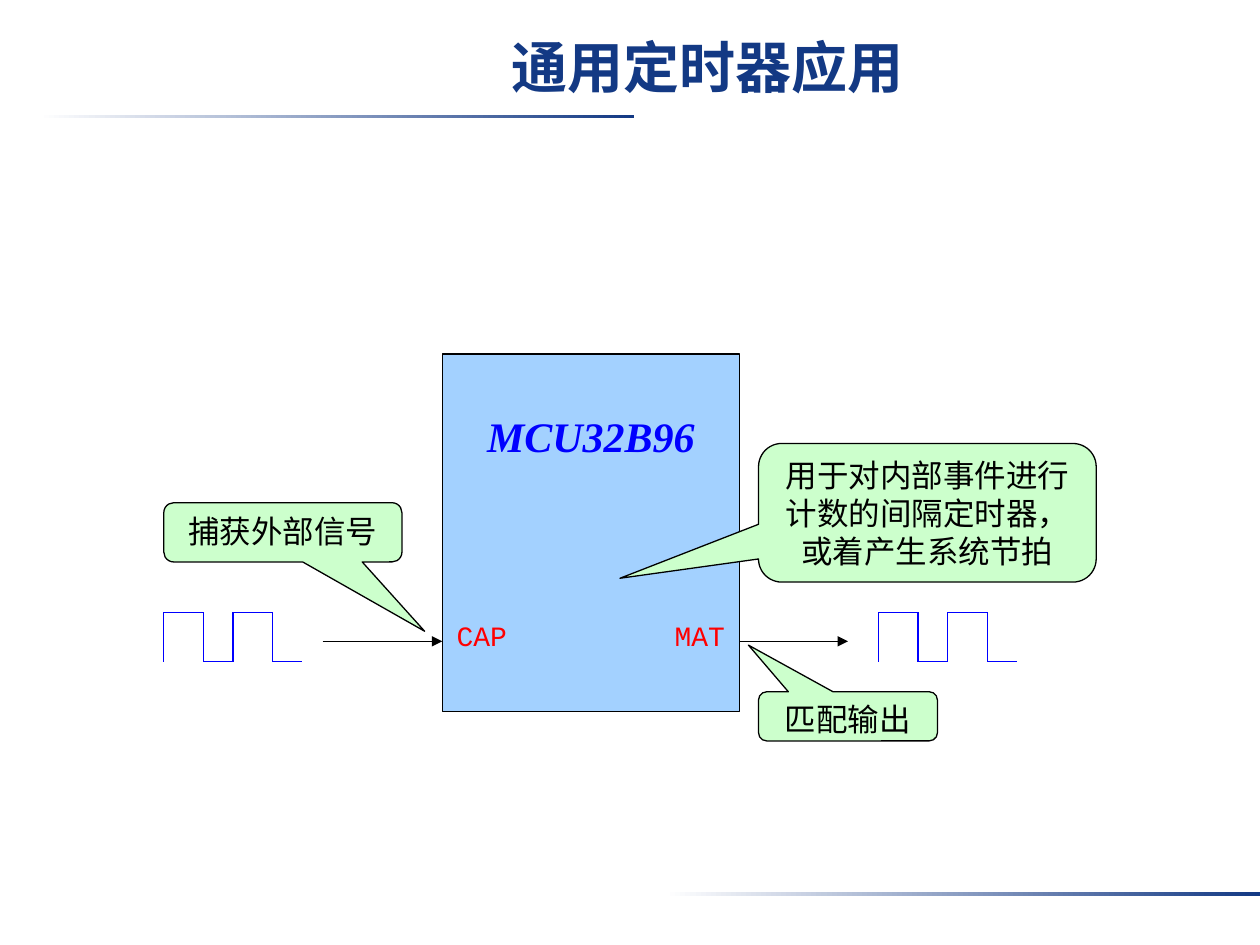
from itertools import pairwise

from pptx import Presentation
from pptx.dml.color import RGBColor
from pptx.enum.shapes import MSO_CONNECTOR, MSO_SHAPE
from pptx.enum.text import MSO_ANCHOR, PP_ALIGN
from pptx.oxml.ns import qn
from pptx.util import Inches, Pt
from lxml import etree


def color(value):
    return RGBColor.from_string(value)


def write(shape, text, size, font_name, font_color, bold=False, italic=False):
    frame = shape.text_frame
    frame.word_wrap = True
    frame.vertical_anchor = MSO_ANCHOR.TOP
    frame.text = text
    paragraph = frame.paragraphs[0]
    paragraph.alignment = PP_ALIGN.CENTER
    font = paragraph.runs[0].font
    font.size = Pt(size)
    font.name = font_name
    font.color.rgb = color(font_color)
    font.bold = bold
    font.italic = italic


def add_box(slide, kind, left, top, width, height, fill):
    shape = slide.shapes.add_shape(
        kind, Inches(left), Inches(top), Inches(width), Inches(height))
    shape.shadow.inherit = False
    shape.fill.solid()
    shape.fill.fore_color.rgb = color(fill)
    shape.line.color.rgb = color("000000")
    shape.line.width = Pt(0.75)
    return shape


def add_line(slide, start, end, line_color, arrow=False):
    line = slide.shapes.add_connector(
        MSO_CONNECTOR.STRAIGHT, *map(Inches, (*start, *end)))
    line.line.color.rgb = color(line_color)
    line.line.width = Pt(0.75)
    properties = line._element.spPr
    if arrow:
        etree.SubElement(properties.find(qn("a:ln")), qn("a:tailEnd"), type="triangle")
    etree.SubElement(properties, qn("a:effectLst"))


def add_label(slide, left, top, width, height, text, *style):
    box = slide.shapes.add_textbox(
        Inches(left), Inches(top), Inches(width), Inches(height))
    write(box, text, *style)
    return box


def add_rule(slide, left, top, width):
    rule = add_box(slide, MSO_SHAPE.RECTANGLE, left, top, width, 0.03, "FFFFFF")
    rule.line.fill.background()
    rule.fill.gradient()
    rule.fill.gradient_angle = 0
    for stop, value in zip(rule.fill.gradient_stops, ("FFFFFF", "133984")):
        stop.color.rgb = color(value)


def add_title(slide, left, top, width, height):
    title = add_label(slide, left, top, width, height,
                      "通用定时器应用", 32, "Arial", "133984", True)
    title.text_frame.margin_top = Inches(0.06)


def add_pulses(slide, left, top, height):
    high, low, period = 0.315, 0.235, 0.55
    bottom = top + height
    points = []
    for cycle in range(2):
        rise = left + cycle * period
        fall = rise + high
        points += [(rise, bottom), (rise, top), (fall, top), (fall, bottom)]
    points.append((fall + low, bottom))
    for start, end in pairwise(points):
        add_line(slide, start, end, "0000FF")


def add_chip(slide, left, top, width, height):
    chip = add_box(slide, MSO_SHAPE.RECTANGLE, left, top, width, height, "99CCFF")
    fill_color = chip._element.spPr.find(qn("a:solidFill"))[0]
    etree.SubElement(fill_color, qn("a:alpha"), val="90000")
    write(chip, "MCU32B96", 24, "Times New Roman", "0000FF", True, True)
    chip.text_frame.margin_top = Inches(0.45)

    right = left + width
    pin_top, pin_width, pin_height = top + 2.05, 0.63, 0.37
    for name, pin_left in (("CAP", left), ("MAT", right - pin_width)):
        add_label(slide, pin_left, pin_top, pin_width, pin_height,
                  name, 16, "Courier New", "FF0000")

    arrow_top = top + 2.28
    for start, end in ((left - 0.95, left), (right, right + 0.86)):
        add_line(slide, (start, arrow_top), (end, arrow_top), "000000", True)


def add_callout(slide, left, top, width, height, tip, text):
    callout = add_box(slide, MSO_SHAPE.ROUNDED_RECTANGULAR_CALLOUT,
                      left, top, width, height, "CCFFCC")
    tip_left, tip_top = tip
    callout.adjustments[0] = (tip_left - left) / width - 0.5
    callout.adjustments[1] = (tip_top - top) / height - 0.5
    callout.adjustments[2] = 0.167
    write(callout, text, 18, "Times New Roman", "000000")


def main():
    presentation = Presentation()
    presentation.slide_width = Inches(10)
    presentation.slide_height = Inches(7.5)
    slide = presentation.slides.add_slide(presentation.slide_layouts[6])

    add_rule(slide, 0.31, 0.91, 4.72)
    add_rule(slide, 5.28, 7.08, 4.72)
    add_title(slide, 2.08, 0.2, 7.07, 0.75)
    for left in (1.3, 6.97):
        add_pulses(slide, left, 4.86, 0.39)
    add_chip(slide, 3.51, 2.81, 2.36, 2.84)
    add_callout(slide, 1.3, 3.99, 1.89, 0.47, (3.37, 5.01), "捕获外部信号")
    add_callout(slide, 6.02, 3.52, 2.68, 1.1, (4.92, 4.59),
                "用于对内部事件进行计数的间隔定时器，或着产生系统节拍")
    add_callout(slide, 6.02, 5.49, 1.42, 0.39, (5.94, 5.12), "匹配输出")

    presentation.save("out.pptx")


if __name__ == "__main__":
    main()
